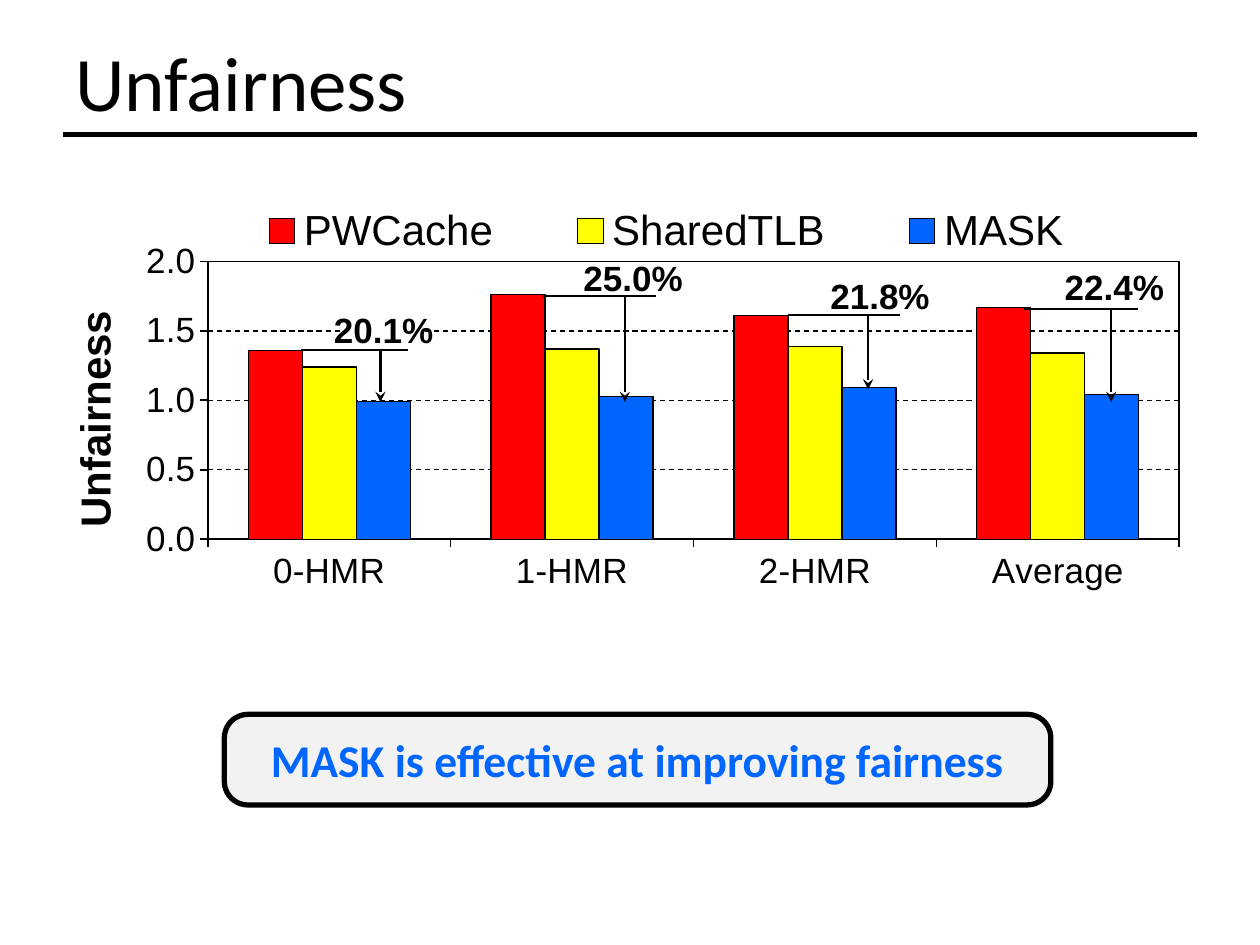
"""Build the slide on unfairness with its annotated column chart."""
from dataclasses import dataclass

from lxml.etree import SubElement
from pptx import Presentation
from pptx.chart.data import CategoryChartData as Data
from pptx.dml.color import RGBColor
from pptx.enum.chart import XL_CHART_TYPE as Kind, XL_LEGEND_POSITION as Side
from pptx.enum.chart import XL_TICK_MARK as Tick
from pptx.enum.dml import MSO_LINE as Dash
from pptx.enum.shapes import MSO_CONNECTOR as Link, MSO_SHAPE as Form
from pptx.enum.text import MSO_ANCHOR as Anchor, PP_ALIGN as Align
from pptx.oxml import parse_xml
from pptx.oxml.ns import nsdecls, qn
from pptx.util import Pt

BLACK = RGBColor(0, 0, 0)
WHITE = RGBColor(255, 255, 255)
RED = RGBColor(255, 0, 0)
YELLOW = RGBColor(255, 255, 0)
BLUE = RGBColor(0, 0x66, 255)
GREY = RGBColor(0xF2, 0xF2, 0xF2)


@dataclass
class Series:
    name: str
    color: RGBColor
    values: tuple[float, ...]


@dataclass
class Drop:
    text: str
    left: float
    right: float
    top: float
    mid: float
    tip: float
    box: tuple[float, float, float, float]
    align: Align = Align.LEFT


GROUPS = ("0-HMR", "1-HMR", "2-HMR", "Average")
SERIES = (
    Series("PWCache", RED, (1.36, 1.76, 1.61, 1.67)),
    Series("SharedTLB", YELLOW, (1.24, 1.37, 1.39, 1.34)),
    Series("MASK", BLUE, (0.99, 1.03, 1.09, 1.04)),
)
DROPS = (
    Drop("20.1%", 172, 233.3, 200.2, 217.4, 229.7,
         (196.6, 180, 45.4, 16.6), Align.CENTER),
    Drop("25.0%", 310.3, 375.1, 169.2, 357.1, 229.7,
         (333.4, 151.2, 41.8, 15.1)),
    Drop("21.8%", 450, 514.1, 180, 496.1, 222.5,
         (474.5, 164.9, 27.4, 7.9)),
    Drop("22.4%", 585.4, 650.2, 176.4, 635, 229.7,
         (608.4, 154.8, 49.7, 18)),
)


def style(font, size: float, face: str = "Arial", bold: bool = False,
          color: RGBColor = BLACK) -> None:
    font.size, font.name, font.bold = Pt(size), face, bold
    font.color.rgb = color


def ink(line, width: float) -> None:
    line.color.rgb = BLACK
    line.width = Pt(width)


def rule(slide, x1: float, y1: float, x2: float, y2: float,
         width: float = 1.25, arrow: bool = False) -> None:
    link = slide.shapes.add_connector(Link.STRAIGHT, Pt(x1), Pt(y1), Pt(x2), Pt(y2))
    ink(link.line, width)
    if arrow:
        SubElement(link.line._get_or_add_ln(), qn("a:tailEnd"), type="stealth")
    SubElement(link._element.spPr, qn("a:effectLst"))


def panel(slide, form: Form, box: tuple[float, ...], fill: RGBColor,
          text: str, align: Align):
    shape = slide.shapes.add_shape(form, *map(Pt, box))
    shape.shadow.inherit = False
    shape.fill.solid()
    shape.fill.fore_color.rgb = fill
    shape.text_frame.text = text
    shape.text_frame.vertical_anchor = Anchor.MIDDLE
    shape.text_frame.paragraphs[0].alignment = align
    return shape


def place(node, x: float, y: float, w: float = 0, h: float = 0,
          inner: bool = False):
    target = '<c:layoutTarget val="inner"/>' if inner else ""
    size = f'<c:w val="{w}"/><c:h val="{h}"/>' if w else ""
    for old in node.findall(qn("c:layout")):
        node.remove(old)
    return parse_xml(
        f'<c:layout {nsdecls("c")}><c:manualLayout>{target}'
        f'<c:xMode val="edge"/><c:yMode val="edge"/>'
        f'<c:x val="{x}"/><c:y val="{y}"/>{size}</c:manualLayout></c:layout>')


def plot(slide) -> None:
    data = Data(number_format="0.00")
    data.categories = GROUPS
    for item in SERIES:
        data.add_series(item.name, item.values)
    chart = slide.shapes.add_chart(
        Kind.COLUMN_CLUSTERED, Pt(14.4), Pt(104.4), Pt(660.2), Pt(265), data).chart
    style(chart.font, 10, "Calibri")
    chart.has_title = False
    bars = chart.plots[0]
    bars.gap_width, bars.overlap = 150, 0
    bars.vary_by_categories = False
    for item, bar in zip(SERIES, bars.series):
        bar.format.fill.solid()
        bar.format.fill.fore_color.rgb = item.color
        ink(bar.format.line, 0.75)

    axis = chart.value_axis
    for each in (chart.category_axis, axis):
        each.major_tick_mark, each.minor_tick_mark = Tick.OUTSIDE, Tick.NONE
        style(each.tick_labels.font, 20)
        ink(each.format.line, 1)
    axis.minimum_scale, axis.maximum_scale, axis.major_unit = 0, 2, 0.5
    axis.tick_labels.number_format = "#,##0.0"
    axis.tick_labels.number_format_is_linked = False
    grid = axis.major_gridlines.format.line
    ink(grid, 0.75)
    grid.dash_style = Dash.DASH
    frame = axis.axis_title.text_frame
    frame.text = "Unfairness"
    style(frame.paragraphs[0].font, 24, bold=True)
    body = frame._txBody.find(qn("a:bodyPr"))
    body.set("rot", "-5400000")
    body.set("vert", "horz")
    title = axis.axis_title._element
    spot = place(title, 0.03, 0.26)
    title.find(qn("c:tx")).addnext(spot)

    chart.has_legend = True
    key = chart.legend
    key.position, key.include_in_layout = Side.TOP, False
    style(key.font, 24)
    spot = place(key._element, 0.15, 0.05, 0.81, 0.11)
    key._element.find(qn("c:legendPos")).addnext(spot)

    area = chart._chartSpace.chart.plotArea
    area.insert(0, place(area, 0.158, 0.17, 0.841, 0.599, True))
    area.append(parse_xml(
        f'<c:spPr {nsdecls("c", "a")}><a:noFill/><a:ln w="{Pt(1)}"><a:solidFill>'
        f'<a:srgbClr val="{BLACK}"/></a:solidFill></a:ln></c:spPr>'))


def mark(slide, drop: Drop) -> None:
    tag = panel(slide, Form.RECTANGLE, drop.box, WHITE, drop.text, drop.align)
    tag.line.fill.background()
    frame = tag.text_frame
    frame.word_wrap = False
    frame.margin_left = frame.margin_right = 0
    frame.margin_top = frame.margin_bottom = 0
    style(frame.paragraphs[0].font, 20, bold=True)
    rule(slide, drop.left, drop.top, drop.right, drop.top)
    rule(slide, drop.mid, drop.top, drop.mid, drop.tip, arrow=True)


def main() -> None:
    deck = Presentation()
    deck.slide_width, deck.slide_height = Pt(720), Pt(540)
    slide = deck.slides.add_slide(deck.slide_layouts[6])
    plot(slide)
    for drop in DROPS:
        mark(slide, drop)

    head = slide.shapes.add_textbox(Pt(36), Pt(10), Pt(648), Pt(67)).text_frame
    head.word_wrap = True
    head.vertical_anchor = Anchor.BOTTOM
    head.text = "Unfairness"
    head.paragraphs[0].line_spacing = 0.9
    style(head.paragraphs[0].font, 44, "Calibri")
    rule(slide, 36, 77, 684, 77, 3)

    note = panel(slide, Form.ROUNDED_RECTANGLE, (128.2, 408.2, 472.3, 51.8),
                 GREY, "MASK is effective at improving fairness", Align.CENTER)
    note.adjustments[0] = 0.26
    ink(note.line, 3)
    style(note.text_frame.paragraphs[0].font, 26, "Calibri", True, BLUE)
    deck.save("out.pptx")


if __name__ == "__main__":
    main()
